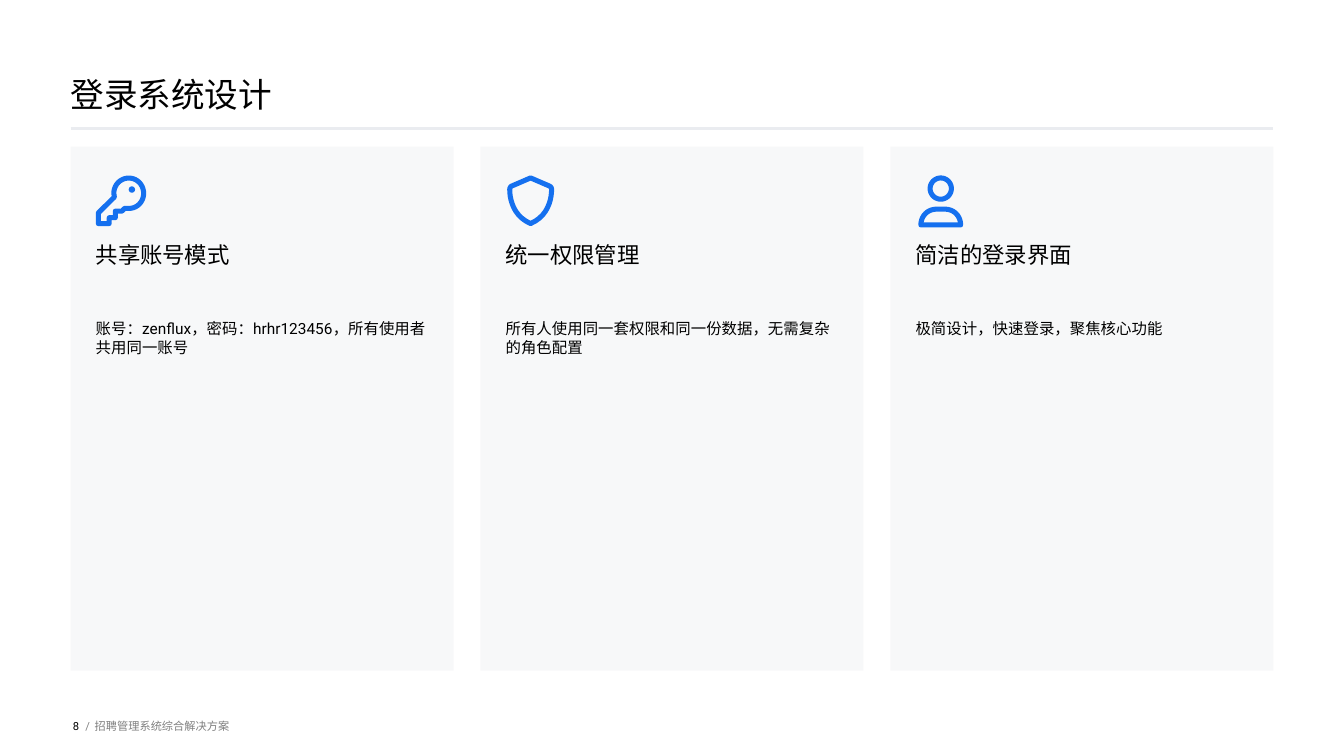
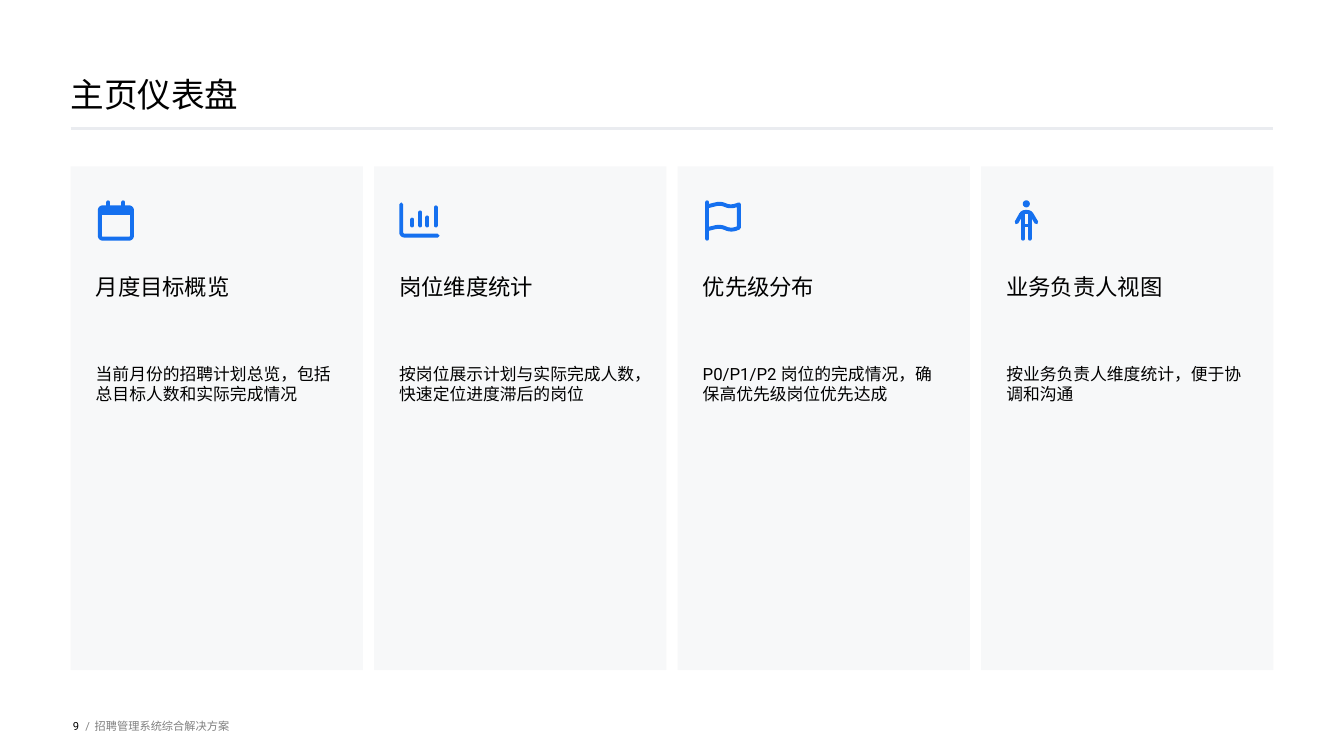
from math import cos, pi, sin

from lxml.etree import SubElement
from pptx import Presentation
from pptx.dml.color import RGBColor
from pptx.enum.shapes import MSO_CONNECTOR as Connector, MSO_SHAPE as Shape
from pptx.enum.text import MSO_ANCHOR as Anchor, PP_ALIGN as Align
from pptx.oxml.ns import qn
from pptx.util import Pt

BLACK, GRAY, RULE, BLUE, NAVY = "000000", "808080", "EAECF0", "1570EF", "0E2841"
MARGIN, CONTENT_WIDTH, CARD_PADDING = 50.4, 859.2, 18
DECK_NAME = "招聘管理系统综合解决方案"

# Icon strokes, in points from the icon's corner. A pair is a straight step,
# six numbers are a Bézier step. Rings are (centre x, centre y, radius).
ICONS = {
    "key": {
        "closed": [[(13.3, 15.5), (1.8, 26.8), (1.8, 34.4), (9.6, 34.4),
                    (9.6, 30.2), (14, 30.2), (14, 25.5), (18.8, 25.5),
                    (20.6, 23.5), (23.6, 23.6),
                    (29.6, 23.6, 34.2, 18.8, 34.2, 12.8),
                    (34.2, 6.8, 29.6, 1.9, 23.6, 1.9),
                    (17.6, 1.9, 12.9, 6.8, 12.9, 12.8)]],
        "rings": [(25.8, 10.1, 0.45)],
    },
    "shield": {
        "closed": [[(17.8, 1.8), (31.2, 7.6),
                    (32.2, 8, 32.8, 9, 32.8, 10.1),
                    (32.8, 17, 30.2, 29.2, 17.8, 34.4),
                    (5.4, 29.2, 2.9, 17, 2.9, 10.1),
                    (2.9, 9, 3.4, 8, 4.4, 7.6)]],
    },
    "person": {
        "closed": [[(3.8, 35.4), (3.8, 29, 8.6, 24.1, 14.9, 24.1), (21.1, 24.1),
                    (27.4, 24.1, 32.2, 29, 32.2, 35.4)]],
        "rings": [(18, 9.4, 7.6)],
    },
    "calendar": {
        "closed": [[(5, 5), (23.8, 5), (25, 5, 25.9, 6, 25.9, 7.2), (25.9, 25.2),
                    (25.9, 26.4, 25, 27.4, 23.8, 27.4), (5, 27.4),
                    (3.8, 27.4, 2.9, 26.4, 2.9, 25.2), (2.9, 7.2),
                    (2.9, 6, 3.8, 5, 5, 5)]],
        "open": [[(3.2, 7.2), (25.6, 7.2), (25.6, 9.4), (3.2, 9.4)],
                 [(9, 1.4), (9, 5)], [(19.8, 1.4), (19.8, 5)]],
    },
    "bars": {
        "open": [[(1.4, 2.9), (1.4, 22.8), (1.4, 24.2, 2.4, 25.2, 4, 25.2),
                  (27.4, 25.2)],
                 [(9.3, 13.7), (9.3, 18)], [(15.1, 8.6), (15.1, 18)],
                 [(20.1, 12.2), (20.1, 18)], [(25.9, 5), (25.9, 18)]],
    },
    "flag": {
        "open": [[(3.2, 1.4), (3.2, 27.4)],
                 [(3.2, 4.3), (9, 2.9), (11.4, 2.2, 13.8, 2.4, 16, 3.4),
                  (18.8, 4.6, 21.5, 4.6, 25.8, 2.9), (25.8, 19.5),
                  (21.5, 21.6, 18.5, 21, 15.8, 19.8),
                  (13.4, 18.8, 11.5, 18.7, 9, 19.2), (3.2, 20.6)]],
    },
    "figure": {
        "open": [[(7.3, 15.8), (10.4, 10.2), (11.2, 9, 12.2, 8.3, 13.5, 8.3),
                  (15, 8.3), (16.4, 8.3, 17.4, 9, 18.2, 10.2), (21.5, 15.8)],
                 [(12, 9), (12, 27.4)], [(16.7, 9), (16.7, 27.4)],
                 [(12, 18), (16.7, 18)]],
        "rings": [(14.3, 2.5, 1.1)],
    },
}

THREE_CARDS = {"gap": 19.2, "top": 104.7, "height": 374.4, "icon_top": 125.3,
               "stroke": 3.6, "heading_top": 174.6, "body_top": 228.2, "body_size": 11}
FOUR_CARDS = {"gap": 8, "top": 118.8, "height": 360, "icon_top": 143.1,
              "stroke": 2.8, "heading_top": 197.3, "body_top": 259.9, "body_size": 12}

SLIDES = [
    (8, "登录系统设计", THREE_CARDS, [
        ("key", "共享账号模式", "账号：zenflux，密码：hrhr123456，所有使用者共用同一账号"),
        ("shield", "统一权限管理", "所有人使用同一套权限和同一份数据，无需复杂的角色配置"),
        ("person", "简洁的登录界面", "极简设计，快速登录，聚焦核心功能"),
    ]),
    (9, "主页仪表盘", FOUR_CARDS, [
        ("calendar", "月度目标概览", "当前月份的招聘计划总览，包括总目标人数和实际完成情况"),
        ("bars", "岗位维度统计", "按岗位展示计划与实际完成人数，快速定位进度滞后的岗位"),
        ("flag", "优先级分布", "P0/P1/P2 岗位的完成情况，确保高优先级岗位优先达成"),
        ("figure", "业务负责人视图", "按业务负责人维度统计，便于协调和沟通"),
    ]),
]


def color(hex_string):
    return RGBColor.from_string(hex_string)


def set_all(target, values):
    for name, value in values.items():
        setattr(target, name, value)


def flatten(steps, pieces=10):
    """Turn straight and Bézier steps into a list of points."""
    points = [steps[0]]
    for step in steps[1:]:
        if len(step) == 2:
            points.append(step)
            continue
        controls = [points[-1], step[:2], step[2:4], step[4:]]
        for piece in range(1, pieces + 1):
            t = piece / pieces
            weights = ((1 - t) ** 3, 3 * t * (1 - t) ** 2, 3 * t * t * (1 - t), t ** 3)
            points.append(tuple(sum(w * c[axis] for w, c in zip(weights, controls))
                                for axis in (0, 1)))
    return points


def ring_points(x, y, radius, pieces=40):
    angles = [2 * pi * piece / pieces for piece in range(pieces)]
    return [(x + radius * cos(angle), y + radius * sin(angle)) for angle in angles]


def icon_strokes(parts):
    """List the strokes of an icon as (points, closed)."""
    return ([(flatten(steps), True) for steps in parts.get("closed", [])]
            + [(flatten(steps), False) for steps in parts.get("open", [])]
            + [(ring_points(*ring), True) for ring in parts.get("rings", [])])


class Deck:
    font = "Roboto"

    def __init__(self):
        self.presentation = Presentation()
        set_all(self.presentation, {"slide_width": Pt(960), "slide_height": Pt(540)})
        self.slide = None

    def new_slide(self, number, title):
        self.slide = self.presentation.slides.add_slide(self.presentation.slide_layouts[6])
        self.rule(MARGIN, 91.8, CONTENT_WIDTH)
        self.text(title, MARGIN, 0, CONTENT_WIDTH, 81.4, 24, anchor=Anchor.BOTTOM)
        footer = {"top": 496.8, "height": 43.2, "size": 8, "anchor": Anchor.MIDDLE}
        self.text(str(number), 34.2, width=22.4, align=Align.RIGHT, **footer)
        self.text("/", 61, width=6, hex_color=GRAY, **footer)
        self.text(DECK_NAME, 67.6, width=620, hex_color=GRAY, **footer)

    def text(self, content, left, top, width, height, size, hex_color=BLACK,
             anchor=Anchor.TOP, align=Align.LEFT, line_spacing=None):
        box = self.slide.shapes.add_textbox(Pt(left), Pt(top), Pt(width), Pt(height))
        set_all(box.text_frame, {"word_wrap": True, "vertical_anchor": anchor,
                                 "margin_left": 0, "margin_right": 0,
                                 "margin_top": 0, "margin_bottom": 0})
        paragraph = box.text_frame.paragraphs[0]
        set_all(paragraph, {"alignment": align, "line_spacing": line_spacing})
        run = paragraph.add_run()
        run.text = content
        set_all(run.font, {"name": self.font, "size": Pt(size)})
        run.font.color.rgb = color(hex_color)

    def rule(self, left, top, width):
        line = self.slide.shapes.add_connector(
            Connector.STRAIGHT, Pt(left), Pt(top), Pt(left + width), Pt(top))
        line.line.width = Pt(2)
        line.line.color.rgb = color(RULE)
        SubElement(line._element.spPr, qn("a:effectLst"))

    def panel(self, left, top, width, height):
        """Draw a card background in navy at 3 % opacity."""
        shape = self.slide.shapes.add_shape(
            Shape.RECTANGLE, Pt(left), Pt(top), Pt(width), Pt(height))
        shape.shadow.inherit = False
        shape.fill.solid()
        shape.fill.fore_color.rgb = color(NAVY)
        shape.line.fill.background()
        fill_color = shape._element.spPr.find(qn("a:solidFill"))[0]
        SubElement(fill_color, qn("a:alpha"), val="3000")

    def icon(self, name, left, top, stroke):
        """Draw an icon as one outline with round ends and corners."""
        builder = None
        for points, closed in icon_strokes(ICONS[name]):
            start, *rest = [(Pt(left + x), Pt(top + y)) for x, y in points]
            if builder is None:
                builder = self.slide.shapes.build_freeform(*start)
            else:
                builder.move_to(*start)
            builder.add_line_segments(rest, close=closed)
        shape = builder.convert_to_shape()
        shape.shadow.inherit = False
        shape.fill.background()
        shape.line.width = Pt(stroke)
        shape.line.color.rgb = color(BLUE)
        line = shape._element.spPr.find(qn("a:ln"))
        line.set("cap", "rnd")
        SubElement(line, qn("a:round"))

    def cards(self, cards, layout):
        gap, bottom = layout["gap"], layout["top"] + layout["height"]
        width = (CONTENT_WIDTH - gap * (len(cards) - 1)) / len(cards)
        text_width = width - 2 * CARD_PADDING
        for index, (icon, heading, body) in enumerate(cards):
            left = MARGIN + index * (width + gap)
            inner = left + CARD_PADDING
            self.panel(left, layout["top"], width, layout["height"])
            self.icon(icon, inner, layout["icon_top"], layout["stroke"])
            self.text(heading, inner, layout["heading_top"], text_width, 45, 16,
                      line_spacing=0.9)
            self.text(body, inner, layout["body_top"], text_width,
                      bottom - CARD_PADDING - layout["body_top"], layout["body_size"])


def main():
    deck = Deck()
    for number, title, layout, cards in SLIDES:
        deck.new_slide(number, title)
        deck.cards(cards, layout)
    deck.presentation.save("out.pptx")


if __name__ == "__main__":
    main()
